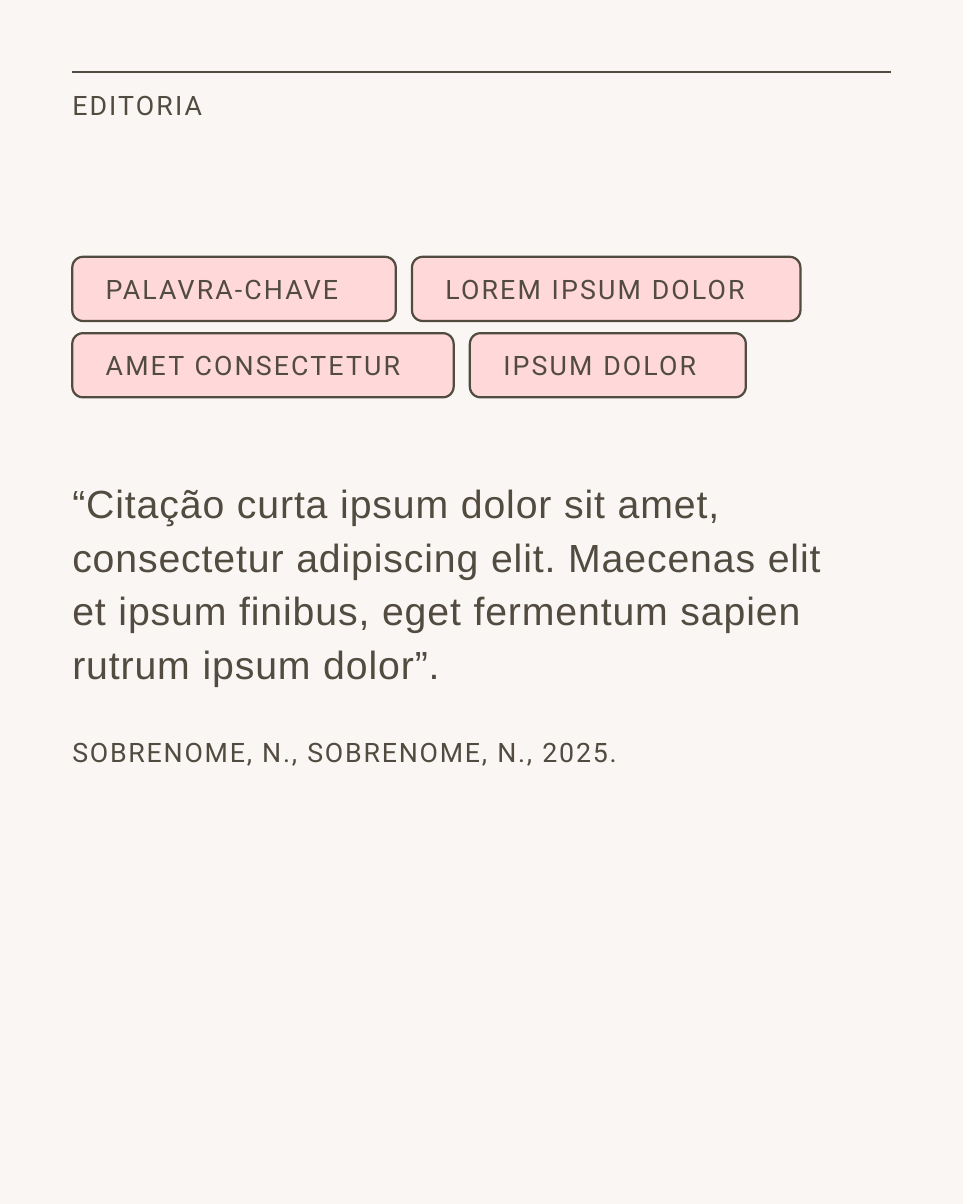
from pptx import Presentation
from pptx.dml.color import RGBColor
from pptx.enum.shapes import MSO_CONNECTOR, MSO_SHAPE
from pptx.enum.text import MSO_ANCHOR, MSO_AUTO_SIZE, PP_ALIGN
from pptx.oxml.ns import qn
from pptx.util import Cm, Pt

STRAIGHT = MSO_CONNECTOR.STRAIGHT
ROUNDED = MSO_SHAPE.ROUNDED_RECTANGLE
MIDDLE = MSO_ANCHOR.MIDDLE
GROW = MSO_AUTO_SIZE.SHAPE_TO_FIT_TEXT
LEFT = PP_ALIGN.LEFT

INK, PINK, PAPER = "514B40", "FFD8D9", "FAF6F3"
MARGIN = 2.86
CONTENT_W = 32.4
CHIP_H, CHIP_GAP, ROW_STEP = 2.54, 0.64, 3.02
CHIP_ROWS = [
    [("PALAVRA-CHAVE", 12.8), ("LOREM IPSUM DOLOR", 15.37)],
    [("AMET CONSECTETUR", 15.09), ("IPSUM DOLOR", 10.92)],
]
QUOTE = ("“Citação curta ipsum dolor sit amet, consectetur adipiscing elit. "
         "Maecenas elit et ipsum finibus, eget fermentum sapien rutrum ipsum dolor”.")


def color(value):
    return RGBColor.from_string(value)


def setup_frame(tf, insets, wrap=True):
    """Insets are left, top, right and bottom, in centimetres."""
    tf.word_wrap = wrap
    tf.auto_size = GROW
    tf.margin_left, tf.margin_top, tf.margin_right, tf.margin_bottom = map(Cm, insets)


def add_run(p, text, size=30, font="Roboto", tracking=2.4):
    """Tracking is the letter spacing in points."""
    p.alignment = LEFT
    r = p.add_run()
    r.text = text
    r.font.size = Pt(size)
    r.font.name = font
    r.font.color.rgb = color(INK)
    r.font._element.set("spc", str(round(tracking * 100)))


def add_header(s, x, y, w):
    rule = s.shapes.add_connector(STRAIGHT, Cm(x), Cm(y), Cm(x + w), Cm(y))
    rule.line.color.rgb = color(INK)
    rule.line.width = Pt(2.5)
    sp_pr = rule._element.spPr
    sp_pr.append(sp_pr.makeelement(qn("a:effectLst"), {}))

    tf = s.shapes.add_textbox(Cm(x), Cm(y + 0.65), Cm(w), Cm(1.3)).text_frame
    setup_frame(tf, (0, 0, 0, 0))
    add_run(tf.paragraphs[0], "EDITORIA")


def add_chip(s, text, x, y, w):
    sp = s.shapes.add_shape(ROUNDED, Cm(x), Cm(y), Cm(w), Cm(CHIP_H))
    sp.shadow.inherit = False
    sp.fill.solid()
    sp.fill.fore_color.rgb = color(PINK)
    sp.line.color.rgb = color(INK)
    sp.line.width = Pt(2.5)
    tf = sp.text_frame
    setup_frame(tf, (1.2, 0.5, 1.2, 0.5), wrap=False)
    tf.vertical_anchor = MIDDLE
    add_run(tf.paragraphs[0], text)


def add_keywords(s, x, y):
    for row, chips in enumerate(CHIP_ROWS):
        left = x
        for text, w in chips:
            add_chip(s, text, left, y + row * ROW_STEP, w)
            left += w + CHIP_GAP


def add_quote(s, x, y, w, h):
    tf = s.shapes.add_textbox(Cm(x), Cm(y), Cm(w), Cm(h)).text_frame
    setup_frame(tf, (0, 3, 1.5, 0))
    p = tf.paragraphs[0]
    p.line_spacing = Pt(60)
    add_run(p, QUOTE, 44, "Arial", 1)
    p = tf.add_paragraph()
    p.line_spacing = Pt(45)
    p.space_before = Pt(45)
    add_run(p, "SOBRENOME, N., SOBRENOME, N., 2025.", tracking=2)


def main():
    prs = Presentation()
    prs.slide_width, prs.slide_height = Cm(38.1), Cm(47.63)
    s = prs.slides.add_slide(prs.slide_layouts[6])
    s.background.fill.solid()
    s.background.fill.fore_color.rgb = color(PAPER)
    add_header(s, MARGIN, MARGIN, CONTENT_W)
    add_quote(s, MARGIN, 15.72, CONTENT_W, 17.25)
    add_keywords(s, MARGIN, 10.16)
    prs.save("out.pptx")


if __name__ == "__main__":
    main()
